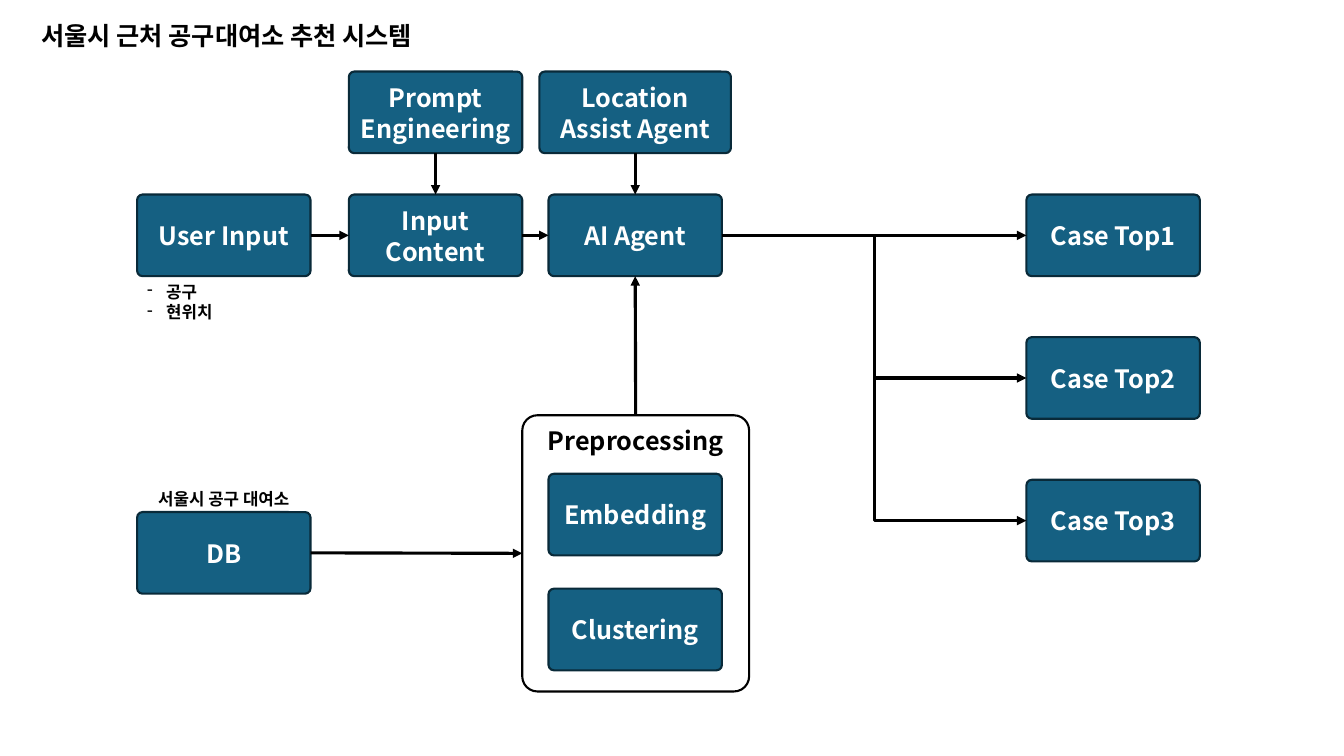
from lxml import etree
from pptx import Presentation, util as u
from pptx.dml.color import RGBColor
from pptx.enum import shapes, text
from pptx.oxml.ns import qn

THEME = {
    "font": "Noto Sans CJK KR",
    "node": "156082", "border": "092A39", "ink": "000000", "paper": "FFFFFF",
    "body": 18, "note": 12, "leading": 1.22,
    "outline": 1.5, "arrow": 2.25,
}
HEADLINE = "서울시 근처 공구대여소 추천 시스템"
NODE_W, NODE_H = 1.72, 0.81
COLUMNS = {"source": 1.36, "input": 3.46, "agent": 5.44, "case": 10.18}
TOP_ROW, MAIN_ROW, DB_ROW, CASE_STEP = 0.71, 1.93, 5.08, 1.415
NODES = [
    ("User Input", "source", MAIN_ROW),
    ("Prompt Engineering", "input", TOP_ROW),
    ("Input Content", "input", MAIN_ROW),
    ("AI Agent", "agent", MAIN_ROW),
    ("Embedding", "agent", 4.7),
    ("Clustering", "agent", 5.84),
    ("DB", "source", DB_ROW),
] + [(f"Case Top{rank + 1}", "case", MAIN_ROW + rank * CASE_STEP) for rank in range(3)]
ASSISTANT, ASSISTANT_W = "Location Assist Agent", 1.9
GROUP, GROUP_BOX = "Preprocessing", (5.18, 4.12, 2.25, 2.74)
NOTES = [
    (["서울시 공구 대여소"], 4.8, 0.3, False),
    (["공구", "현위치"], MAIN_ROW + NODE_H, 0.5, True),
]
TOP, LEFT, BOTTOM, RIGHT = range(4)
FLOWS = [
    ("User Input", RIGHT, "Input Content", LEFT),
    ("Prompt Engineering", BOTTOM, "Input Content", TOP),
    ("Input Content", RIGHT, "AI Agent", LEFT),
    (ASSISTANT, BOTTOM, "AI Agent", TOP),
    (GROUP, TOP, "AI Agent", BOTTOM),
    ("DB", RIGHT, GROUP, LEFT),
    ("AI Agent", RIGHT, "Case Top1", LEFT),
    ("AI Agent", RIGHT, "Case Top2", LEFT),
    ("AI Agent", RIGHT, "Case Top3", LEFT),
]


def color(key):
    return RGBColor.from_string(THEME[key])


def write(frame, lines, size, ink, align, anchor, side=0.1, bulleted=False):
    layout = {
        "word_wrap": True, "auto_size": text.MSO_AUTO_SIZE.NONE, "vertical_anchor": anchor,
        "margin_left": u.Inches(side), "margin_right": u.Inches(side),
        "margin_top": u.Inches(0.05), "margin_bottom": u.Inches(0.05),
    }
    for key, value in layout.items():
        setattr(frame, key, value)
    frame.text = "\n".join(lines)
    for paragraph in frame.paragraphs:
        spacing = {
            "alignment": align, "space_before": u.Pt(0),
            "line_spacing": u.Pt(THEME[size] * THEME["leading"]),
        }
        for key, value in spacing.items():
            setattr(paragraph, key, value)
        run = paragraph.runs[0]
        for key, value in {"name": THEME["font"], "size": u.Pt(THEME[size]), "bold": True}.items():
            setattr(run.font, key, value)
        run.font.color.rgb = color(ink)
        east_asian = etree.SubElement(run.font._element, qn("a:ea"))
        east_asian.set("typeface", THEME["font"])
        if bulleted:
            properties = paragraph._p.get_or_add_pPr()
            properties.set("marL", str(u.Inches(0.19)))
            properties.set("indent", str(-u.Inches(0.19)))
            etree.SubElement(properties, qn("a:buFontTx"))
            etree.SubElement(properties, qn("a:buChar")).set("char", "-")


def add_box(slide, label, box, fill, border, ink, anchor):
    rounded = slide.shapes.add_shape(
        shapes.MSO_SHAPE.ROUNDED_RECTANGLE, *map(u.Inches, box))
    rounded.adjustments[0] = 0.067
    rounded.shadow.inherit = False
    if fill:
        rounded.fill.solid()
        rounded.fill.fore_color.rgb = color(fill)
    else:
        rounded.fill.background()
    rounded.line.color.rgb = color(border)
    rounded.line.width = u.Pt(THEME["outline"])
    write(rounded.text_frame, [label], "body", ink, text.PP_ALIGN.CENTER, anchor, 0.08)
    return rounded


def add_flow(slide, start, start_side, end, end_side):
    straight = start_side != RIGHT or abs(start.top - end.top) < u.Inches(1)
    kind = shapes.MSO_CONNECTOR.STRAIGHT if straight else shapes.MSO_CONNECTOR.ELBOW
    arrow = slide.shapes.add_connector(kind, 0, 0, 0, 0)
    arrow.begin_connect(start, start_side)
    arrow.end_connect(end, end_side)
    arrow.line.color.rgb = color("ink")
    arrow.line.width = u.Pt(THEME["arrow"])
    etree.SubElement(arrow.line._get_or_add_ln(), qn("a:tailEnd")).set("type", "triangle")
    etree.SubElement(arrow._element.spPr, qn("a:effectLst"))


def main():
    deck = Presentation()
    deck.slide_width, deck.slide_height = u.Inches(13.33), u.Inches(7.5)
    slide = deck.slides.add_slide(deck.slide_layouts[5])
    center, left = text.PP_ALIGN.CENTER, text.PP_ALIGN.LEFT
    top, middle = text.MSO_ANCHOR.TOP, text.MSO_ANCHOR.MIDDLE

    headline = slide.shapes.title
    for key, value in {"left": 0.31, "top": 0.15, "width": 4.95, "height": 0.4}.items():
        setattr(headline, key, u.Inches(value))
    write(headline.text_frame, [HEADLINE], "body", "ink", left, top)

    boxes = {GROUP: add_box(slide, GROUP, GROUP_BOX, None, "ink", "ink", top)}
    assistant_left = COLUMNS["agent"] + (NODE_W - ASSISTANT_W) / 2
    places = [(label, COLUMNS[column], row, NODE_W) for label, column, row in NODES]
    places.append((ASSISTANT, assistant_left, TOP_ROW, ASSISTANT_W))
    for label, x, y, width in places:
        boxes[label] = add_box(
            slide, label, (x, y, width, NODE_H), "node", "border", "paper", middle)

    for start, start_side, end, end_side in FLOWS:
        add_flow(slide, boxes[start], start_side, boxes[end], end_side)

    for lines, y, height, bulleted in NOTES:
        note = slide.shapes.add_textbox(
            *map(u.Inches, (COLUMNS["source"], y, NODE_W, height)))
        write(note.text_frame, lines, "note", "ink", left if bulleted else center, top,
              bulleted=bulleted)
    deck.save("out.pptx")


if __name__ == "__main__":
    main()
